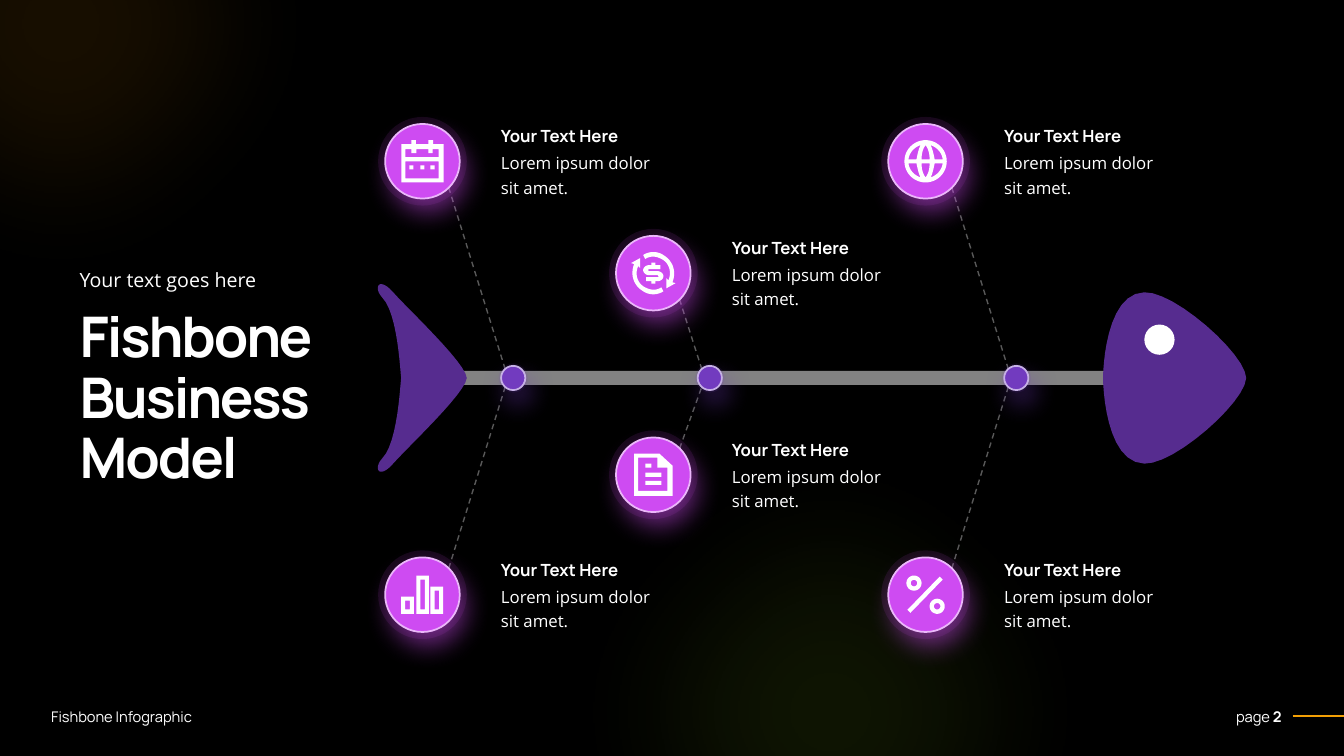
"""Build the fishbone business model slide."""
import math

from lxml import etree
from pptx import Presentation
from pptx import util as u
from pptx.dml.color import RGBColor
from pptx.enum import dml, shapes, text
from pptx.oxml.ns import qn

BLACK = RGBColor(0x00, 0x00, 0x00)
WHITE = RGBColor(0xFF, 0xFF, 0xFF)
GREY = RGBColor(0x59, 0x59, 0x59)
SPINE = RGBColor(0xD9, 0xD9, 0xD9)
PURPLE = RGBColor(0x56, 0x2C, 0x8F)
VIOLET = RGBColor(0x72, 0x3B, 0xBF)
LILAC = RGBColor(0xC6, 0xB0, 0xE6)
PINK = RGBColor(0xCE, 0x4B, 0xF2)
BLUSH = RGBColor(0xEB, 0xB7, 0xFA)
ORANGE = RGBColor(0xF2, 0x9F, 0x05)
GREEN = RGBColor(0x9F, 0xD9, 0x23)
HEADING, BODY = "Manrope", "Open Sans"
SPINE_Y = 3.75


def trace(*steps):
    points = []
    for step in steps:
        if len(step) == 2:
            points.append(step)
            continue
        corners = [points[-1], step[:2], step[2:4], step[4:]]
        for t in (n / 12 for n in range(1, 13)):
            weights = [math.comb(3, k) * t ** k * (1 - t) ** (3 - k) for k in range(4)]
            points.append(tuple(sum(w * c[axis] for w, c in zip(weights, corners)) for axis in (0, 1)))
    return points


def flip(points, across, down):
    return [(x * across, y * down) for x, y in points]


def block(left, top, right, bottom):
    return [(left, top), (right, top), (right, bottom), (left, bottom)]


def ring(x, y, radius):
    angles = [math.tau * n / 48 for n in range(48)]
    return [(x + radius * math.cos(a), y + radius * math.sin(a)) for a in angles]


def calendar_icon():
    header = [(-17, -12), (-11, -12), (-11, -8), (-6, -8), (-6, -12), (6, -12),
              (6, -8), (10, -8), (10, -12), (16, -12), (16, -4), (-17, -4)]
    tabs = [block(x, -21, x + 4.5, -17) for x in (-11, 6)]
    dots = [block(x, 4, x + 4, 8) for x in (-13, -2, 8)]
    return [block(-21, -17, 21, 21), block(-17, 0, 16, 17), header, *tabs, *dots]


def globe_icon():
    side = trace((-5, 16), (-7, 12, -8, 7, -9, 2), (-17, 2), (-16, 9, -11, 14, -5, 16))
    middle = trace((-4, 2), (-4, 7, -3, 12, 0, 16), (3, 12, 4, 7, 4, 2))
    sides = [flip(side, x, y) for x in (1, -1) for y in (1, -1)]
    return [ring(0, 0, 21), *sides, middle, flip(middle, 1, -1)]


def money_icon():
    arrow = trace((15, 7), (19, -2, 15, -12, 6, -15), (2, -17, -4, -17, -8, -14), (-10, -18),
                  (-4, -22, 4, -22, 10, -18), (20, -12, 23, -1, 19, 9), (22, 10), (13, 15), (13, 5))
    half = trace((-7, 4), (4, 4), (5, 4, 5, 4, 5, 3), (5, 3, 5, 2, 4, 2), (-4, 2),
                 (-7, 2, -10, 0, -10, -3), (-10, -6, -7, -8, -4, -8),
                 (-2, -8), (-2, -10.5), (2, -10.5), (2, -8), (7, -8))
    return [arrow, flip(arrow, -1, -1), half + flip(half, -1, -1)]


def document_icon():
    sheet = [(-19, -21), (6, -21), (19, -9), (19, 21), (-19, 21)]
    inside = [(14, -7), (4, -7), (4, -17), (-15, -17), (-15, 16), (14, 16)]
    return [sheet, inside, block(-8, -11, -2, -7), block(-8, -2, 8, 2), block(-8, 6, 8, 10)]


def bars_icon():
    bars = [(-21, 2), (-6, -19), (8, -8)]
    outer = [block(x, y, x + 12.5, 19) for x, y in bars]
    return outer + [block(x + 4, y + 4, x + 8.5, 14.5) for x, y in bars]


def percent_icon():
    rings = [ring(x, x, radius) for x in (-11.5, 11.5) for radius in (7.5, 3.2)]
    return rings + [[(14, -18), (17, -15), (-15, 18), (-18, 15)]]


class Sketch:
    """Draw styled elements on the current slide."""

    def __init__(self, slide):
        self.slide = slide
        self.shapes = slide.shapes

    def paint(self, shape, color, alpha=None, line=None):
        shape.shadow.inherit = False
        shape.fill.solid()
        shape.fill.fore_color.rgb = color
        if alpha:
            tint = shape._element.spPr.find(qn("a:solidFill")).find(qn("a:srgbClr"))
            etree.SubElement(tint, qn("a:alpha"), val=str(alpha * 1000))
        if line:
            shape.line.color.rgb = line
            shape.line.width = u.Pt(1.25)
        else:
            shape.line.fill.background()
        return shape

    def preset(self, kind, left, top, width, height, color, **style):
        shape = self.shapes.add_shape(kind, *map(u.Inches, (left, top, width, height)))
        return self.paint(shape, color, **style)

    def disc(self, x, y, size, color, **style):
        return self.preset(shapes.MSO_SHAPE.OVAL, x - size / 2, y - size / 2, size, size, color, **style)

    def effects(self, shape):
        return shape._element.spPr.find(qn("a:effectLst"))

    def glow(self, x, y, color):
        shape = self.disc(x, y, 6.8, color, alpha=10)
        etree.SubElement(self.effects(shape), qn("a:softEdge"), rad=str(u.Pt(100)))

    def badge(self, x, y, size, halo, color, line):
        self.disc(x, y, halo, color, alpha=10)
        shape = self.disc(x, y, size, color, line=line)
        shadow = etree.SubElement(self.effects(shape), qn("a:outerShdw"), blurRad=str(u.Pt(19)),
                                  dist=str(u.Pt(10)), dir=str(68 * 60000), rotWithShape="0")
        tint = etree.SubElement(shadow, qn("a:srgbClr"), val=str(color))
        etree.SubElement(tint, qn("a:alpha"), val="50000")

    def outline(self, x, y, contours, color):
        placed = [[(u.Inches(x + px / 100), u.Inches(y + py / 100)) for px, py in c] for c in contours]
        builder = self.shapes.build_freeform(*placed[0][0])
        for number, points in enumerate(placed):
            if number:
                builder.move_to(*points[0])
            builder.add_line_segments(points[1:], close=True)
        self.paint(builder.convert_to_shape(), color)

    def line(self, start, end, color, width, dash=None):
        line = self.shapes.add_connector(shapes.MSO_CONNECTOR.STRAIGHT, *map(u.Inches, start + end))
        line.line.color.rgb = color
        line.line.width = u.Pt(width)
        line.line.dash_style = dash
        etree.SubElement(line._element.spPr, qn("a:effectLst"))

    def label(self, place, paras, size, font, spacing=None, align=text.PP_ALIGN.LEFT,
              anchor=text.MSO_ANCHOR.TOP, box=None, tracking=None):
        box = box or self.shapes.add_textbox(0, 0, 0, 0)
        box.left, box.top, box.width, box.height = map(u.Inches, place)
        frame = box.text_frame
        frame.word_wrap = True
        frame.auto_size = text.MSO_AUTO_SIZE.SHAPE_TO_FIT_TEXT
        frame.vertical_anchor = anchor
        for number, spans in enumerate(paras):
            para = frame.add_paragraph() if number else frame.paragraphs[0]
            para.alignment = align
            para.line_spacing = spacing
            for words, strong in spans:
                span = para.add_run()
                span.text = words
                span.font.name, span.font.size = font, u.Pt(size)
                span.font.bold = strong
                span.font.color.rgb = WHITE
                if tracking:
                    span.font._element.set("spc", str(tracking))

    def cause(self, x, y, node_x, icon):
        side = 1 if y < SPINE_Y else -1
        self.line((x + 0.26, y + 0.26 * side), (node_x - 0.08, SPINE_Y - 0.09 * side),
                  GREY, 1, dml.MSO_LINE.DASH)
        self.badge(x, y, 0.74, 0.88, PINK, BLUSH)
        self.outline(x, y, icon, WHITE)
        self.label((x + 0.68, y - 0.17, 1.75, 0.57), [[("Lorem ipsum dolor sit amet.", False)]], 12, BODY, spacing=1.2)
        self.label((x + 0.68, y - 0.4, 1.75, 0.3), [[("Your Text Here", True)]], 12, HEADING)

    def fish(self):
        self.preset(shapes.MSO_SHAPE.RECTANGLE, 4.36, SPINE_Y - 0.07, 6.64, 0.14, SPINE, alpha=60)
        tail = trace((463, 0), (462, -15, 404, -69, 390, -85), (376, -101, 370, -90, 379, -80),
                     (395, -64, 397, -4, 398, 0))
        head = trace((1236, 0), (1235, -24, 1165, -86, 1135, -85), (1096, -84, 1094, -6, 1094, 0))
        for half in (tail, head):
            self.outline(0, SPINE_Y, [half + flip(half, 1, -1)[::-1]], PURPLE)
        self.disc(11.5, 3.37, 0.3, WHITE)


def main():
    deck = Presentation()
    deck.slide_width, deck.slide_height = u.Inches(13.33), u.Inches(7.5)
    page = deck.slides.add_slide(deck.slide_layouts[5])
    page.background.fill.solid()
    page.background.fill.fore_color.rgb = BLACK
    sketch = Sketch(page)
    sketch.glow(8.24, 7.07, GREEN)
    sketch.glow(0.61, 0.25, ORANGE)
    sketch.label((11.8, 6.97, 1.01, 0.28), [[("page ", False), ("2", True)]], 10.5, HEADING,
                 align=text.PP_ALIGN.RIGHT, anchor=text.MSO_ANCHOR.MIDDLE)
    sketch.label((0.41, 6.97, 2.31, 0.28), [[("Fishbone Infographic", False)]], 10.5, HEADING,
                 anchor=text.MSO_ANCHOR.MIDDLE)
    sketch.line((12.82, 7.1), (13.33, 7.1), ORANGE, 1.25)
    sketch.label((0.69, 3.02, 2.72, 1.92), [[("Fishbone", True)], [("Business Model", True)]], 40, HEADING,
                 spacing=0.9, box=page.shapes.title, tracking=-150)
    sketch.label((0.69, 2.56, 2.72, 0.37), [[("Your text goes here", False)]], 14, BODY, spacing=1.2)
    sketch.fish()
    causes = [(4.19, 1.6, 5.09, calendar_icon()), (4.19, 5.9, 5.09, bars_icon()),
              (6.48, 2.71, 7.04, money_icon()), (6.48, 4.71, 7.04, document_icon()),
              (9.18, 1.6, 10.08, globe_icon()), (9.18, 5.9, 10.08, percent_icon())]
    for cause in causes:
        sketch.cause(*cause)
    for node_x in (5.09, 7.04, 10.08):
        sketch.badge(node_x, SPINE_Y, 0.24, 0.29, VIOLET, LILAC)
    deck.save("out.pptx")


if __name__ == "__main__":
    main()
